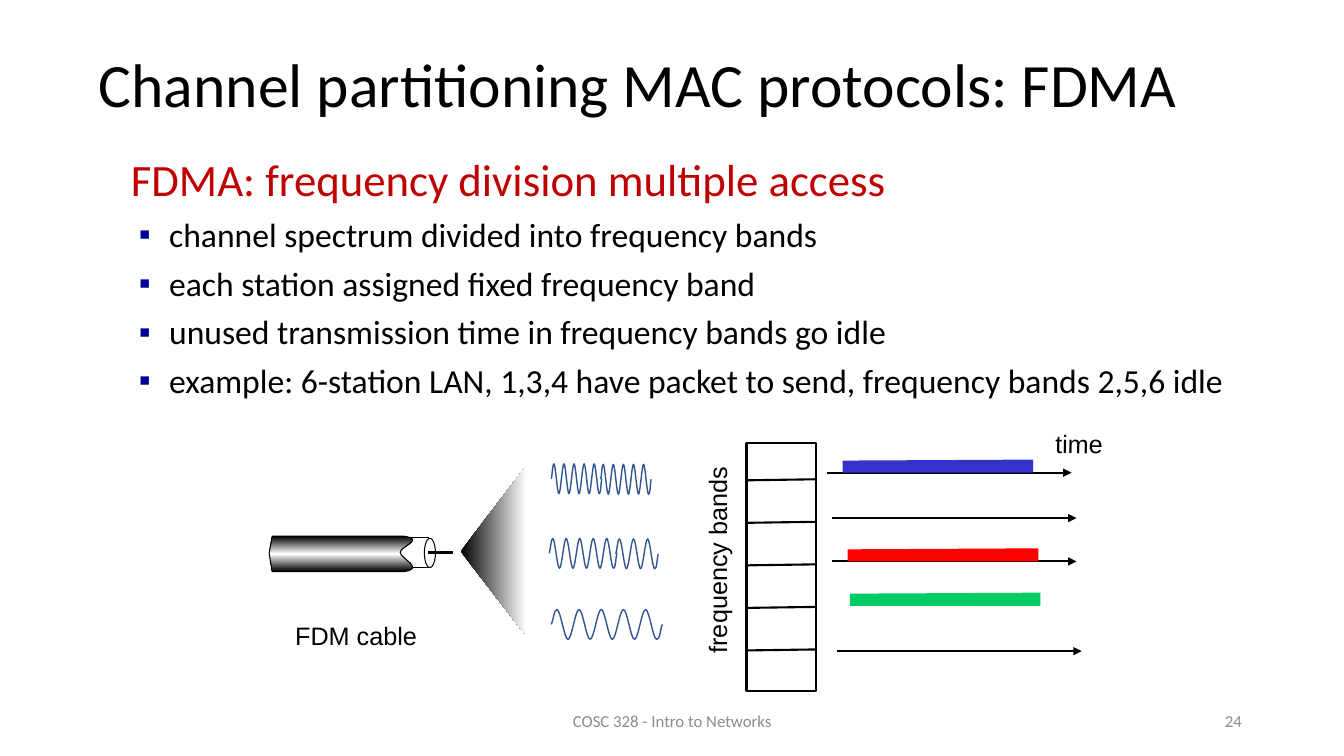
from lxml.etree import SubElement
from pptx import Presentation
from pptx.dml.color import RGBColor
from pptx.enum.shapes import MSO_CONNECTOR, MSO_SHAPE
from pptx.enum.text import MSO_ANCHOR, MSO_AUTO_SIZE, PP_ALIGN
from pptx.oxml.ns import qn
from pptx.util import Inches, Pt

# Square grid cells: 75 rows fill the height of the slide
SLIDE_WIDTH, SLIDE_HEIGHT = Inches(13.333), Inches(7.5)
CELL = SLIDE_HEIGHT / 75

BLACK, WHITE, GRAY = "000000", "FFFFFF", "8C8C8C"
BULLETS = [
    "channel spectrum divided into frequency bands",
    "each station assigned fixed frequency band",
    "unused transmission time in frequency bands go idle",
    "example: 6-station LAN, 1,3,4 have packet to send, frequency bands 2,5,6 idle",
]
# Each lane: start column, row, whether it has a time axis, packet colour
LANES = [
    (82, 46.9, True, "3333CC"),
    (82.5, 51.4, True, None),
    (82.5, 55.7, True, "FF0000"),
    (82.7, 60.1, False, "00CC66"),
    (83, 64.6, True, None),
]
# Each wave: left column, middle row, width, number of cycles
WAVES = [
    (54.7, 61.95, 11, 5),
    (54.7, 47.5, 5, 5),
    (59.6, 47.55, 5, 5),
    (54.5, 54.9, 6.7, 5),
    (61.1, 54.95, 4.2, 3),
]


def grid(*cells):
    return [round(cell * CELL) for cell in cells]


def color(hex_value):
    return RGBColor.from_string(hex_value)


def write(para, text, size=18, font="Arial", hex_value=BLACK, align=None):
    span = para.add_run()
    span.text = text
    span.font.size = Pt(size)
    span.font.name = font
    span.font.color.rgb = color(hex_value)
    para.alignment = align


def add_label(page, place, text, rotation=0, wrap=False, anchor=MSO_ANCHOR.TOP, **style):
    box = page.shapes.add_textbox(*grid(*place))
    box.rotation = rotation
    frame = box.text_frame
    frame.word_wrap = wrap
    frame.vertical_anchor = anchor
    frame.auto_size = MSO_AUTO_SIZE.NONE if wrap else MSO_AUTO_SIZE.SHAPE_TO_FIT_TEXT
    write(frame.paragraphs[0], text, **style)
    return box


def paint(shape, fill=None, line=None, weight=0.75):
    shape.shadow.inherit = False
    if fill:
        shape.fill.solid()
        shape.fill.fore_color.rgb = color(fill)
    else:
        shape.fill.background()
    if line:
        shape.line.color.rgb = color(line)
        shape.line.width = Pt(weight)
    else:
        shape.line.fill.background()


def paint_gradient(shape, stops, angle):
    shape.fill.gradient()
    shape.fill.gradient_angle = angle
    stop_list = next(shape._element.spPr.iter(qn("a:gsLst")))
    for old_stop in list(stop_list):
        stop_list.remove(old_stop)
    for percent, hex_value in stops:
        stop = SubElement(stop_list, qn("a:gs"), pos=str(percent * 1000))
        SubElement(stop, qn("a:srgbClr"), val=hex_value)


def add_preset(page, kind, place, **style):
    shape = page.shapes.add_shape(kind, *grid(*place))
    paint(shape, **style)
    return shape


def add_outline(page, start, segments, close=False, **style):
    """A segment of one point is straight; one of three points is a Bezier curve."""
    builder = page.shapes.build_freeform(*grid(*start))
    points = [grid(*point) for segment in segments for point in segment]
    builder.add_line_segments(points, close=close)
    shape = builder.convert_to_shape()
    steps = iter(list(shape._element.spPr.iter(qn("a:lnTo"))))
    for segment in segments:
        first, *others = [next(steps) for _ in segment]
        if others:
            first.tag = qn("a:cubicBezTo")
            for step in others:
                first.append(step[0])
                step.getparent().remove(step)
    paint(shape, **style)
    return shape


def add_line(page, start, end, weight=1.5, arrow=False):
    line = page.shapes.add_connector(MSO_CONNECTOR.STRAIGHT, *grid(*start, *end))
    line.line.color.rgb = color(BLACK)
    line.line.width = Pt(weight)
    if arrow:
        SubElement(line.line._get_or_add_ln(), qn("a:tailEnd"), type="triangle")
    SubElement(line._element.spPr, qn("a:effectLst"))


def add_wave(page, left, middle, width, cycles, height=1.48):
    half = width / cycles / 2
    column, row = left + half / 2, middle - height
    segments = [[(left + 0.2 * half, middle - height / 3), (left + 0.25 * half, row),
                 (column, row)]]
    for _ in range(2 * cycles - 1):
        next_row = 2 * middle - row
        segments.append([(column + half / 3, row), (column + 2 * half / 3, next_row),
                         (column + half, next_row)])
        column, row = column + half, next_row
    right = left + width
    segments.append([(right - 0.15 * half, row), (right - 0.2 * half, middle + height / 3),
                     (right, middle)])
    add_outline(page, (left, middle), segments, line="325491", weight=1)


def add_title(page):
    title = page.shapes.title
    title.left, title.top, title.width, title.height = grid(8.8, 3.8, 115, 9.8)
    frame = title.text_frame
    frame.auto_size = MSO_AUTO_SIZE.NONE
    frame.vertical_anchor = MSO_ANCHOR.MIDDLE
    para = frame.paragraphs[0]
    para.line_spacing = 0.9
    write(para, "Channel partitioning MAC protocols: FDMA", size=44, font="Calibri",
          align=PP_ALIGN.LEFT)


def add_body(page):
    box = add_label(page, (12, 15.35, 114.4, 26.2), "FDMA: frequency division multiple access",
                    wrap=True, size=32, font="Calibri", hex_value="C00000")
    box.text_frame.paragraphs[0].line_spacing = 0.85
    for text in BULLETS:
        para = box.text_frame.add_paragraph()
        props = para._p.get_or_add_pPr()
        props.set("marL", str(Inches(0.38)))
        props.set("indent", str(Inches(-0.3)))
        SubElement(SubElement(props, qn("a:buClr")), qn("a:srgbClr"), val="000099")
        SubElement(props, qn("a:buFont"), typeface="Arial")
        SubElement(props, qn("a:buChar"), char="▪")
        para.space_before = Pt(6)
        write(para, text, size=24, font="Calibri")


def add_bands(page):
    # Stack of six frequency bands
    add_preset(page, MSO_SHAPE.RECTANGLE, (74.05, 43.95, 6.9, 24.6),
               fill=WHITE, line=BLACK, weight=1.5)
    for divider in range(5):
        row = 47.65 + 4.22 * divider
        add_line(page, (74.05, row), (80.9, row - 0.1))
    # Time axes and packets
    for left, row, has_axis, packet in LANES:
        if has_axis:
            add_line(page, (left, row), (left + 24.3, row), arrow=True)
        if packet:
            start, end = left + 1.6, left + 20.5
            add_outline(page, (start, row),
                        [[(start, row - 1.2)], [(end, row - 1.3)], [(end, row)]], fill=packet)
    add_label(page, (60.9, 53.55, 20.5, 4), "frequency bands", rotation=270)
    add_label(page, (103.7, 42, 6.7, 4), "time", rotation=1.1)


def add_cable(page):
    # Fan from the cable end
    corner = (52.2, 46.2)
    fan = add_outline(page, corner, [[(45.7, 54.7)], [(52.2, 63.1)], [corner]], close=True)
    paint_gradient(fan, [(0, BLACK), (100, WHITE)], 0)
    # Cable with its core
    add_preset(page, MSO_SHAPE.RECTANGLE, (39.6, 53.3, 2.9, 3), fill=WHITE, line=BLACK)
    corner = (27, 53.2)
    sheath = add_outline(page, corner, [
        [(26.7, 54.9)], [(27, 56.7)], [(40.1, 56.7)],
        [(42.2, 56.4), (39.7, 55.4), (39.7, 54.8)],
        [(39.7, 54.2), (42.2, 53.5), (40.1, 53.2)],
        [corner],
    ], close=True, line=BLACK)
    paint_gradient(sheath, [(0, BLACK), (50, WHITE), (100, BLACK)], 90)
    add_preset(page, MSO_SHAPE.OVAL, (42.1, 53.4, 1.1, 2.9), fill=WHITE, line=BLACK)
    add_line(page, (42.5, 54.8), (44.9, 54.8), weight=2.25)
    add_label(page, (28.3, 61, 14.1, 4), "FDM cable")


def main():
    deck = Presentation()
    deck.slide_width, deck.slide_height = SLIDE_WIDTH, SLIDE_HEIGHT
    page = deck.slides.add_slide(deck.slide_layouts[5])
    add_title(page)
    add_body(page)
    add_bands(page)
    add_cable(page)
    for wave in WAVES:
        add_wave(page, *wave)
    # Footer
    footer = dict(wrap=True, anchor=MSO_ANCHOR.MIDDLE, size=12, font="Calibri", hex_value=GRAY)
    add_label(page, (44.2, 69.5, 45, 4), "COSC 328 - Intro to Networks",
              align=PP_ALIGN.CENTER, **footer)
    add_label(page, (94.2, 69.5, 30, 4), "24", align=PP_ALIGN.RIGHT, **footer)
    deck.save("out.pptx")


if __name__ == "__main__":
    main()
